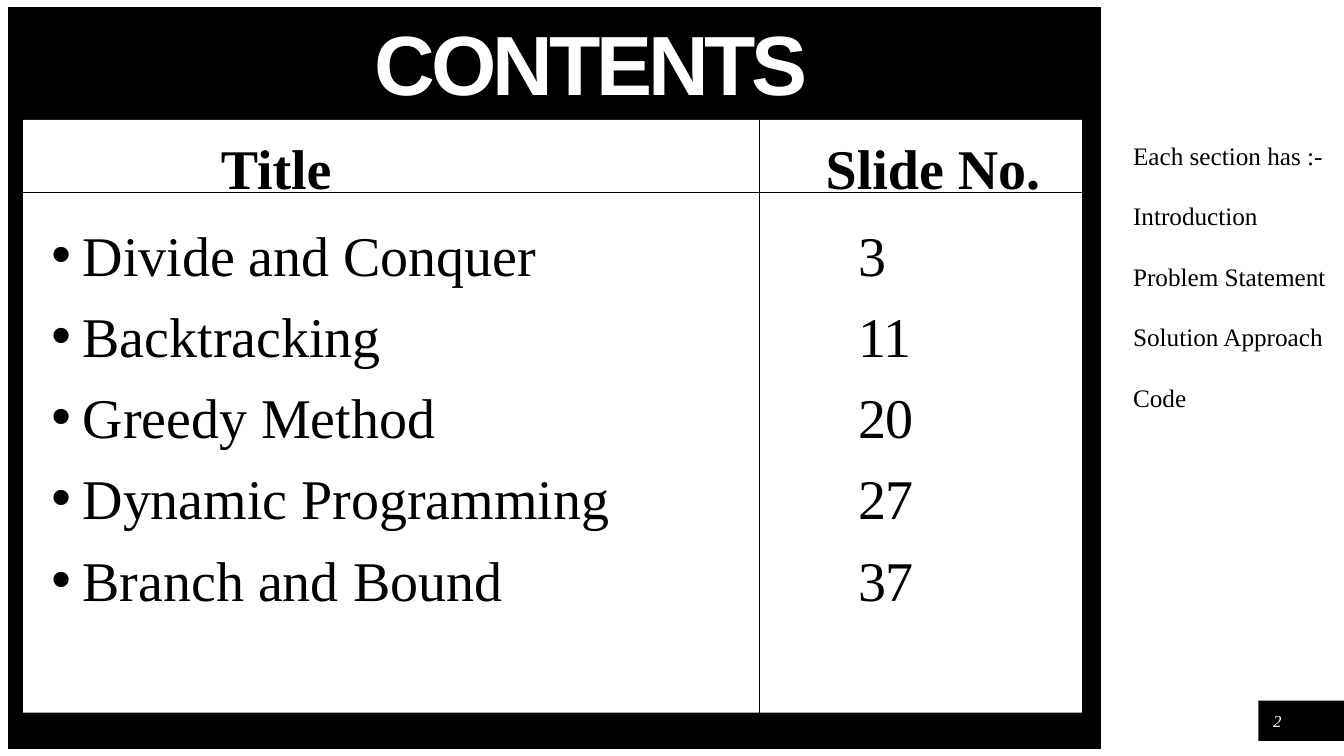
from lxml import etree
from pptx import Presentation, util as u
from pptx.dml.color import RGBColor
from pptx.enum import shapes, text
from pptx.oxml.ns import qn

TITLE = "CONTENTS"
HEADERS = ["Title", "Slide No."]
SECTIONS = [
    ("Divide and Conquer", 3),
    ("Backtracking", 11),
    ("Greedy Method", 20),
    ("Dynamic Programming", 27),
    ("Branch and Bound", 37),
]
PARTS = ["Each section has :-", "Introduction", "Problem Statement",
         "Solution Approach", "Code"]
PAGE = "2"

BLACK = RGBColor(0, 0, 0)
WHITE = RGBColor(255, 255, 255)
SERIF, SANS = "Times New Roman", "Arial"

WIDTH, HEIGHT = 13.33, 7.5
PANEL = (0.08, 0.07, 10.84, 7.36)
TABLE = (0.23, 1.19, 10.5, 5.88)
TAG = (12.48, 6.95, WIDTH - 12.48, 0.4)
COLUMN_LINE, HEADER_LINE = 7.53, 1.91
HEADER_LEFTS = [2.19, 8.19]
HEADER_TOP, HEADER_HEIGHT = 1.32, 0.65
INSET, HANGING, NUMBER_TAB = 0.28, 0.31, 8


def place(shape, left, top, width, height):
    shape.left, shape.top = u.Inches(left), u.Inches(top)
    shape.width, shape.height = u.Inches(width), u.Inches(height)


def write(shape, lines, size, color=BLACK, font=SERIF, bold=False, italic=False,
          align=text.PP_ALIGN.LEFT, anchor=text.MSO_ANCHOR.TOP, gap=0,
          line=None, inset=0, tracking=None, bullet=None, tab=None):
    frame = shape.text_frame
    frame.word_wrap = True
    frame.auto_size = text.MSO_AUTO_SIZE.NONE
    frame.vertical_anchor = anchor
    frame.margin_left = u.Inches(inset)
    frame.margin_right = frame.margin_top = frame.margin_bottom = 0
    for index, content in enumerate(lines):
        paragraph = frame.paragraphs[0] if index == 0 else frame.add_paragraph()
        properties = paragraph._p.get_or_add_pPr()
        if bullet:
            properties.set("marL", str(u.Inches(HANGING)))
            properties.set("indent", str(-u.Inches(HANGING)))
            etree.SubElement(properties, qn("a:buFont"), typeface=SANS)
            etree.SubElement(properties, qn("a:buChar"), char=bullet)
        if tab:
            stops = etree.SubElement(properties, qn("a:tabLst"))
            etree.SubElement(stops, qn("a:tab"), pos=str(u.Inches(tab)), algn="l")
        paragraph.alignment = align
        paragraph.space_before = u.Pt(gap if index else 0)
        if line:
            paragraph.line_spacing = line
        run = paragraph.add_run()
        run.text = content
        run.font.name, run.font.size = font, u.Pt(size)
        run.font.bold, run.font.italic = bold, italic
        run.font.color.rgb = color
        if tracking:
            run.font._element.set("spc", str(tracking * 100))


def add_box(slide, box):
    shape = slide.shapes.add_textbox(0, 0, 0, 0)
    place(shape, *box)
    return shape


def add_block(slide, box, color):
    block = slide.shapes.add_shape(shapes.MSO_SHAPE.RECTANGLE, 0, 0, 0, 0)
    place(block, *box)
    block.shadow.inherit = False
    block.fill.solid()
    block.fill.fore_color.rgb = color
    block.line.fill.background()
    return block


def add_rule(slide, *ends):
    rule = slide.shapes.add_connector(shapes.MSO_CONNECTOR.STRAIGHT, *map(u.Inches, ends))
    rule.line.color.rgb = BLACK
    rule.line.width = u.Pt(0.5)
    etree.SubElement(rule._element.spPr, qn("a:effectLst"))


def main():
    presentation = Presentation()
    presentation.slide_width, presentation.slide_height = u.Inches(WIDTH), u.Inches(HEIGHT)
    slide = presentation.slides.add_slide(presentation.slide_layouts[0])
    title, contents = slide.placeholders

    for box in (PANEL, TAG):
        title.element.addprevious(add_block(slide, box, BLACK).element)

    place(title, 2.95, 0.27, 5.06, 0.84)
    write(title, [TITLE], 60, WHITE, SANS, bold=True, align=text.PP_ALIGN.RIGHT,
          anchor=text.MSO_ANCHOR.BOTTOM, line=u.Pt(50), tracking=-3)

    place(contents, *TABLE)
    contents.fill.solid()
    contents.fill.fore_color.rgb = WHITE
    write(contents, [f"{name}\t{number}" for name, number in SECTIONS], 40,
          anchor=text.MSO_ANCHOR.MIDDLE, gap=10, inset=INSET, bullet="•", tab=NUMBER_TAB)

    for header, left in zip(HEADERS, HEADER_LEFTS):
        write(add_box(slide, (left, HEADER_TOP, 2.4, HEADER_HEIGHT)), [header], 40, bold=True)

    add_rule(slide, 0.11, HEADER_LINE, 10.86, HEADER_LINE)
    add_rule(slide, COLUMN_LINE, TABLE[1], COLUMN_LINE, 7.15)

    write(add_box(slide, (11.14, 1.39, 2.23, 2.76)), PARTS, 18, gap=21.6, inset=0.1)
    write(add_box(slide, (12.52, 7, 0.3, 0.3)), [PAGE], 12, WHITE, italic=True,
          align=text.PP_ALIGN.CENTER, anchor=text.MSO_ANCHOR.MIDDLE)

    presentation.save("out.pptx")


if __name__ == "__main__":
    main()
